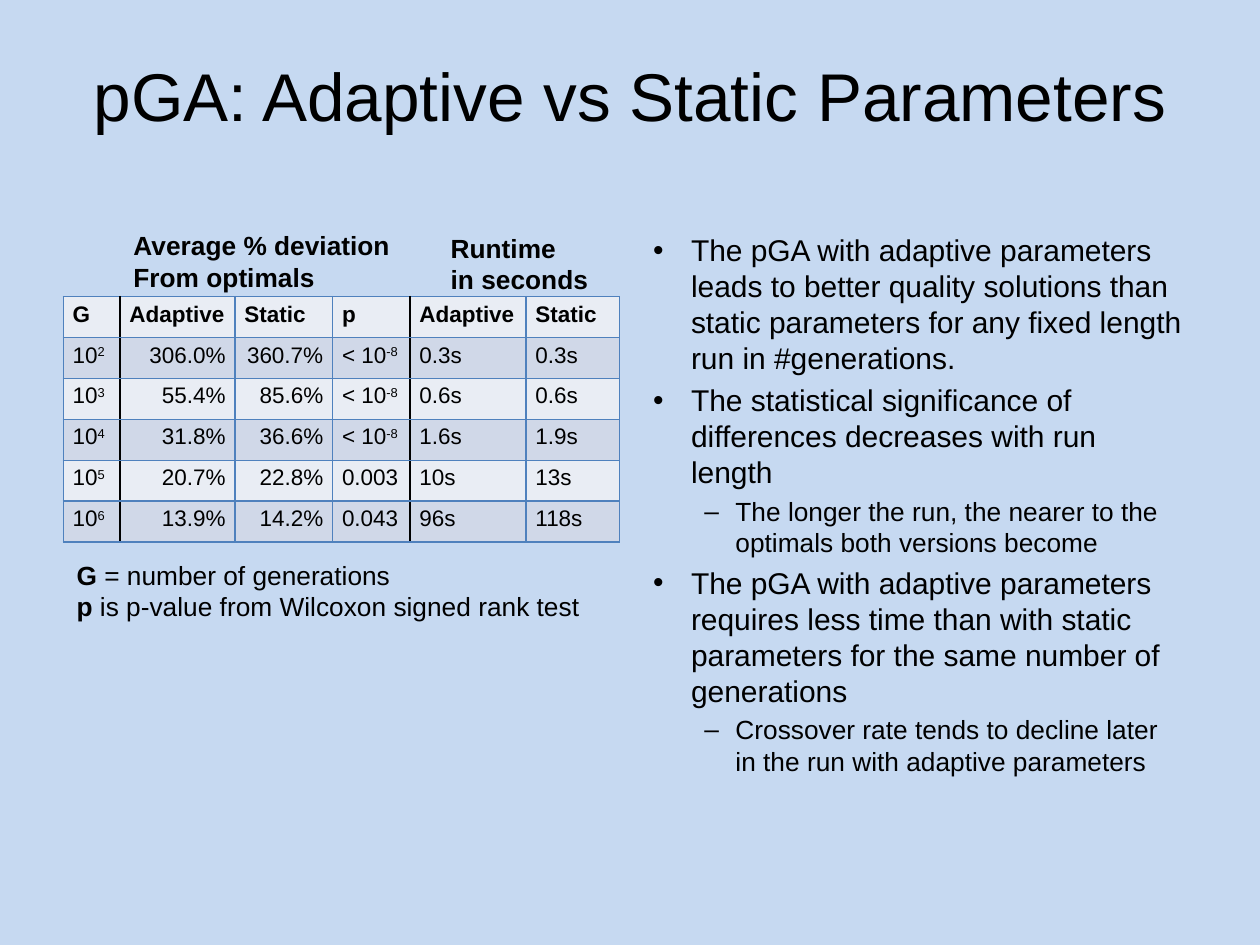
from pptx import Presentation
from pptx.dml.color import RGBColor
from pptx.enum.text import MSO_AUTO_SIZE, PP_ALIGN
from pptx.oxml.ns import qn
from pptx.util import Pt
from lxml.etree import SubElement

# Content: a run is (text, style), with style "b" bold, "^" raised or "" plain
TITLE = "pGA: Adaptive vs Static Parameters"
HEADS = ["G", "Adaptive", "Static", "p", "Adaptive", "Static"]
TINY = "< 10^-8"
ROWS = [
    ["10^2", "306.0%", "360.7%", TINY, "0.3s", "0.3s"],
    ["10^3", "55.4%", "85.6%", TINY, "0.6s", "0.6s"],
    ["10^4", "31.8%", "36.6%", TINY, "1.6s", "1.9s"],
    ["10^5", "20.7%", "22.8%", "0.003", "10s", "13s"],
    ["10^6", "13.9%", "14.2%", "0.043", "96s", "118s"],
]
POINTS = [
    (0, "The pGA with adaptive parameters leads to better quality solutions "
        "than static parameters for any fixed length run in #generations."),
    (0, "The statistical significance of differences decreases with run length"),
    (1, "The longer the run, the nearer to the optimals both versions become"),
    (0, "The pGA with adaptive parameters requires less time than with static "
        "parameters for the same number of generations"),
    (1, "Crossover rate tends to decline later in the run with adaptive parameters"),
]
NOTES = [  # left, top, width, lines of runs
    (33.8, 294.5, 283.7, [[("G", "b"), (" = number of generations", "")],
                          [("p", "b"), (" is p-value from Wilcoxon signed rank test", "")]]),
    (64.1, 118.8, 151.9, [[("Average % deviation", "b")], [("From optimals", "b")]]),
    (233.3, 120.2, 87.8, [[("Runtime", "b")], [("in seconds", "b")]]),
]
LEVELS = [  # bullet, size, margin, hanging indent
    ("•", 16, 20.2, 20.2),
    ("–", 14, 43.9, 16.6),
]
COLS = [30.3, 61.3, 52.1, 41.3, 61.9, 49.8]
ROW = 21.85
RIGHT = {1, 2}   # right-aligned value columns
SPLIT = {1, 4}   # columns with a dark rule on their left
HUE = {"back": "C6D9F1", "text": "000000", "rule": "4F81BD",
       "odd": "D0D8E8", "even": "E9EDF4"}


def tint(name):
    return RGBColor.from_string(HUE[name])


def style(para, size, bold=None):
    font = para.font
    font.name, font.size, font.bold = "Arial", Pt(size), bold
    font.color.rgb = tint("text")


def add_runs(para, runs):
    for text, kind in runs:
        run = para.add_run()
        run.text = text
        if kind == "b":
            run.font.bold = True
        elif kind == "^":
            run.font._element.set("baseline", "30000")


def add_box(left, top, width, height, wrap=True):
    box = slide.shapes.add_textbox(Pt(left), Pt(top), Pt(width), Pt(height))
    box.text_frame.word_wrap = wrap
    return box.text_frame


def next_para(frame, first):
    return frame.paragraphs[0] if first else frame.add_paragraph()


def add_rule(cell, side, name):
    line = SubElement(cell._tc.get_or_add_tcPr(), qn("a:" + side), w="12700")
    fill = SubElement(line, qn("a:solidFill"))
    SubElement(fill, qn("a:srgbClr"), val=HUE[name])


deck = Presentation()
deck.slide_width, deck.slide_height = Pt(672), Pt(504)
slide = deck.slides.add_slide(deck.slide_layouts[6])
slide.background.fill.solid()
slide.background.fill.fore_color.rgb = tint("back")

# Title
frame = add_box(33.8, 22.3, 604.8, 39.6)
frame.margin_top = Pt(6.5)
para = frame.paragraphs[0]
para.text, para.alignment = TITLE, PP_ALIGN.CENTER
style(para, 36)

# Results table
data = [HEADS] + ROWS
table = slide.shapes.add_table(len(data), len(COLS), Pt(33.8), Pt(158.2),
                               Pt(sum(COLS)), Pt(ROW * len(data))).table
for col, width in zip(table.columns, COLS):
    col.width = Pt(width)
for r, row in enumerate(data):
    table.rows[r].height = Pt(ROW)
    for c, text in enumerate(row):
        cell = table.cell(r, c)
        cell.margin_left = cell.margin_right = Pt(5)
        cell.margin_top = cell.margin_bottom = Pt(2.7)
        para = cell.text_frame.paragraphs[0]
        base, _, power = text.partition("^")
        add_runs(para, [(base, "")] + ([(power, "^")] if power else []))
        style(para, 12, r == 0)
        if r and c in RIGHT:
            para.alignment = PP_ALIGN.RIGHT
        # Rules go before the fill in the cell properties
        add_rule(cell, "lnL", "text" if c in SPLIT else "rule")
        add_rule(cell, "lnR", "text" if c + 1 in SPLIT else "rule")
        add_rule(cell, "lnT", "rule")
        add_rule(cell, "lnB", "rule")
        cell.fill.solid()
        cell.fill.fore_color.rgb = tint("odd" if r % 2 else "even")

# Findings
frame = add_box(341.3, 120.2, 297, 306)
for i, (level, text) in enumerate(POINTS):
    mark, size, margin, hang = LEVELS[level]
    para = next_para(frame, i == 0)
    para.text, para.level = text, level
    style(para, size)
    para.space_before = Pt(size * 0.2)
    props = para._p.get_or_add_pPr()
    props.set("marL", str(Pt(margin)))
    props.set("indent", str(-Pt(hang)))
    SubElement(props, qn("a:buFont"), typeface="Arial")
    SubElement(props, qn("a:buChar"), char=mark)
    props.append(props.find(qn("a:defRPr")))

# Table headings and key
for left, top, width, lines in NOTES:
    frame = add_box(left, top, width, 41, False)
    frame.auto_size = MSO_AUTO_SIZE.SHAPE_TO_FIT_TEXT
    for i, runs in enumerate(lines):
        para = next_para(frame, i == 0)
        add_runs(para, runs)
        style(para, 14)

deck.save("out.pptx")
